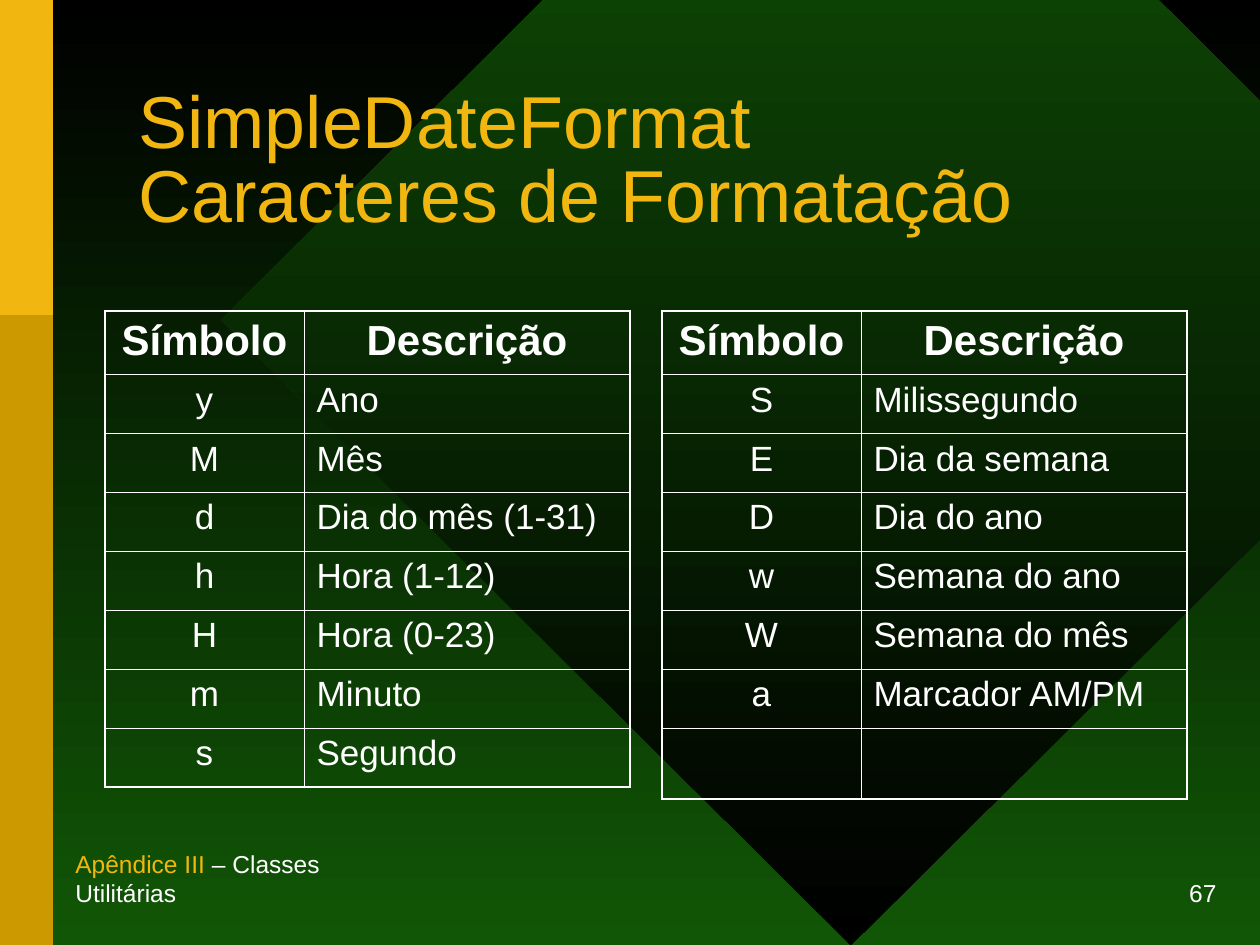
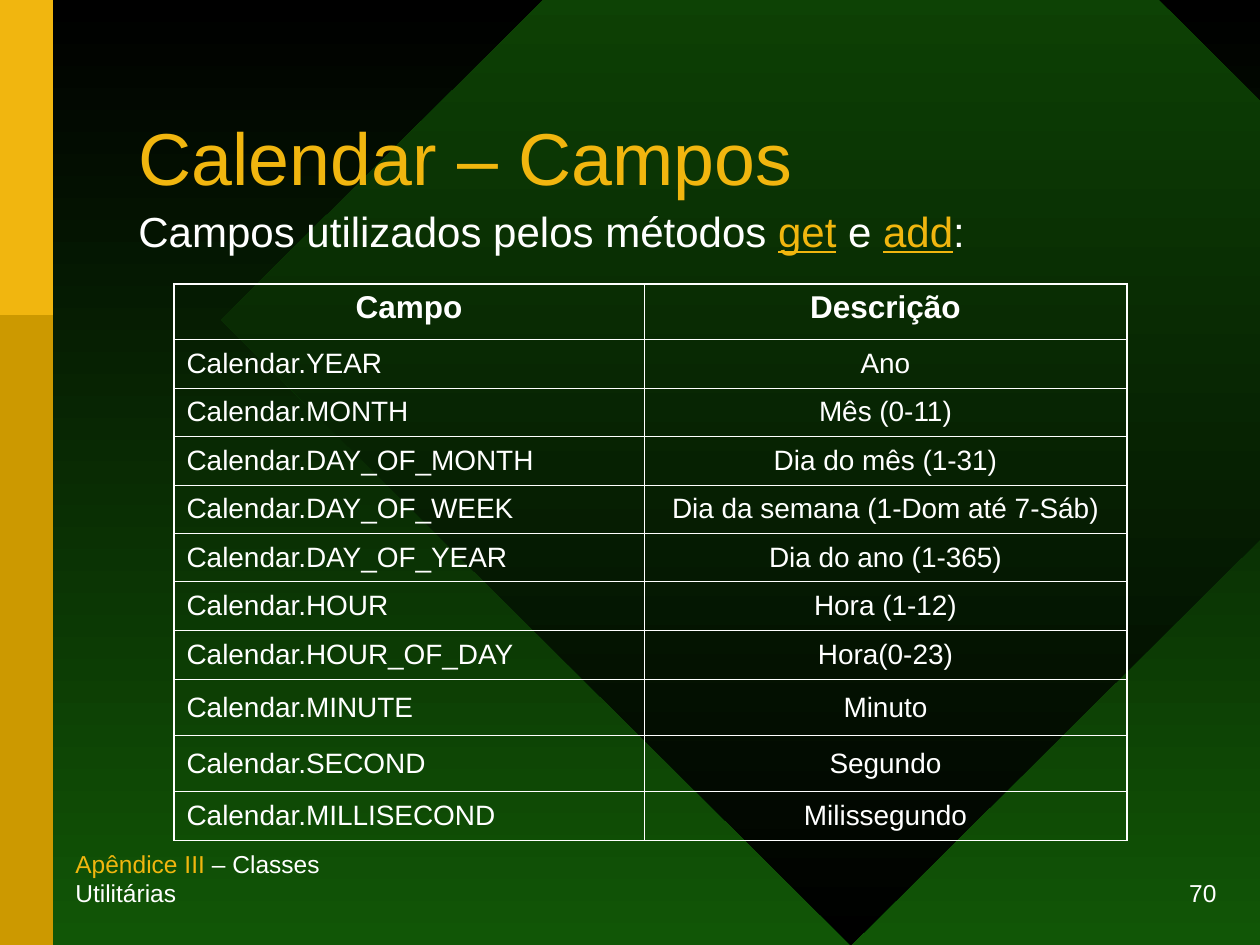
from lxml.etree import SubElement
from pptx import Presentation
from pptx.dml.color import RGBColor
from pptx.enum.shapes import MSO_SHAPE
from pptx.enum.text import MSO_ANCHOR, PP_ALIGN
from pptx.oxml.ns import qn
from pptx.util import Emu, Pt

SCALE = 914400 // 126
FONT = "Arial"
HUES = {
    "night": "000000",
    "leaf": "115606",
    "gold": "F1B60F",
    "ochre": "CC9900",
    "text": "FFFFFF",
}
THICK, THIN = 1.08, 0.45
LEFT, MID = PP_ALIGN.LEFT, PP_ALIGN.CENTER


def px(*sizes):
    return [Emu(size * SCALE) for size in sizes]


def hue(name):
    return RGBColor.from_string(HUES[name])


def style(font, size, color="text", bold=False):
    font.name = FONT
    font.size = Pt(size)
    font.bold = bold
    font.color.rgb = hue(color)


def fade(fill, top, base):
    fill.gradient()
    fill.gradient_angle = 270
    for stop, name in zip(fill.gradient_stops, (top, base)):
        stop.color.rgb = hue(name)


def add_form(slide, kind, box):
    form = slide.shapes.add_shape(kind, *px(*box))
    form.shadow.inherit = False
    form.line.fill.background()
    return form


def add_band(slide, box, color):
    band = add_form(slide, MSO_SHAPE.RECTANGLE, box)
    band.fill.solid()
    band.fill.fore_color.rgb = hue(color)


def add_text(slide, box, parts, size, anchor, align=LEFT, wrap=True):
    frame = slide.shapes.add_textbox(*px(*box)).text_frame
    frame.word_wrap = wrap
    frame.vertical_anchor = anchor
    para = frame.paragraphs[0]
    para.alignment = align
    if len(parts) == 1:
        text, color = parts[0]
        para.text = text
        style(para.font, size, color)
        return para
    for text, color in parts:
        run = para.add_run()
        run.text = text
        style(run.font, size, color)
    return para


def add_title(slide, text):
    para = add_text(slide, (126, 84, 1040, 158), [(text, "gold")], 42,
                    MSO_ANCHOR.MIDDLE)
    para.line_spacing = 0.85


def add_foot(slide, number):
    low = MSO_ANCHOR.BOTTOM
    add_text(slide, (914, 882, 315, 32), [(str(number), "text")], 14, low,
             PP_ALIGN.RIGHT, False)
    add_text(slide, (63, 882, 315, 32),
             [("Apêndice III", "gold"), (" – Classes Utilitárias", "text")],
             14, low, wrap=False)


def add_page(deck, title, number):
    slide = deck.slides.add_slide(deck.slide_layouts[6])
    fade(slide.background.fill, "night", "leaf")
    gem = add_form(slide, MSO_SHAPE.DIAMOND, (221, -305, 1260, 1250))
    fade(gem.fill, "leaf", "night")
    add_band(slide, (0, 0, 53, 945), "ochre")
    add_band(slide, (0, 0, 53, 315), "gold")
    add_foot(slide, number)
    add_title(slide, title)
    return slide


def set_edge(cell, side, width):
    line = SubElement(cell._tc.get_or_add_tcPr(), qn("a:ln" + side),
                      w=str(Pt(width)))
    fill = SubElement(line, qn("a:solidFill"))
    SubElement(fill, qn("a:srgbClr"), val=HUES["text"])


def set_cell(cell, text, size, align, anchor, bold, edges):
    for side, outer in edges.items():
        set_edge(cell, side, THICK if outer else THIN)
    cell.fill.background()
    cell.vertical_anchor = anchor
    para = cell.text_frame.paragraphs[0]
    para.text = text
    para.alignment = align
    style(para.font, size, bold=bold)


def add_grid(slide, spot, cols, rows, data, sizes, aligns, anchor):
    box = px(*spot, sum(cols), sum(rows))
    table = slide.shapes.add_table(len(rows), len(cols), *box).table
    table.first_row = table.horz_banding = False
    for col, width in zip(table.columns, px(*cols)):
        col.width = width
    for row, height in zip(table.rows, px(*rows)):
        row.height = height
    for i, line in enumerate(data):
        head = i == 0
        for j, text in enumerate(line):
            edges = {"L": j == 0, "R": j == len(cols) - 1,
                     "T": head, "B": i == len(rows) - 1}
            set_cell(table.cell(i, j), text, sizes[0 if head else 1],
                     MID if head else aligns[j],
                     MSO_ANCHOR.TOP if head else anchor, head, edges)


def add_codes(deck):
    slide = add_page(deck, "SimpleDateFormat\vCaracteres de Formatação", 67)
    head = ("Símbolo", "Descrição")
    first = [head, ("y", "Ano"), ("M", "Mês"), ("d", "Dia do mês (1-31)"),
             ("h", "Hora (1-12)"), ("H", "Hora (0-23)"), ("m", "Minuto"),
             ("s", "Segundo")]
    second = [head, ("S", "Milissegundo"), ("E", "Dia da semana"),
              ("D", "Dia do ano"), ("w", "Semana do ano"),
              ("W", "Semana do mês"), ("a", "Marcador AM/PM"), ("", "")]
    for left, last, data in ((105, 59, first), (662, 71, second)):
        add_grid(slide, (left, 311), (199, 326), [63] + [59] * 6 + [last],
                 data, (24, 20), (MID, LEFT), MSO_ANCHOR.TOP)


def add_fields(deck):
    slide = add_page(deck, "Calendar – Campos", 70)
    add_text(slide, (126, 199, 1040, 74),
             [("Campos utilizados pelos métodos ", "text"), ("get", "gold"),
              (" e ", "text"), ("add", "gold"), (":", "text")],
             24, MSO_ANCHOR.TOP)
    body = slide.shapes[-1].text_frame.paragraphs[0]
    for run in body.runs[1::2]:
        run.font.underline = True
    fields = [("YEAR", "Ano"), ("MONTH", "Mês (0-11)"),
              ("DAY_OF_MONTH", "Dia do mês (1-31)"),
              ("DAY_OF_WEEK", "Dia da semana (1-Dom até 7-Sáb)"),
              ("DAY_OF_YEAR", "Dia do ano (1-365)"),
              ("HOUR", "Hora (1-12)"), ("HOUR_OF_DAY", "Hora(0-23)"),
              ("MINUTE", "Minuto"), ("SECOND", "Segundo"),
              ("MILLISECOND", "Milissegundo")]
    data = [("Campo", "Descrição")]
    data += [("Calendar." + name, text) for name, text in fields]
    rows = [55] + [49, 48, 49] * 2 + [49, 56, 56, 49]
    add_grid(slide, (174, 284), (470, 483), rows, data, (18, 16),
             (LEFT, MID), MSO_ANCHOR.MIDDLE)


def main():
    deck = Presentation()
    deck.slide_width, deck.slide_height = px(1260, 945)
    add_codes(deck)
    add_fields(deck)
    deck.save("out.pptx")


main()
